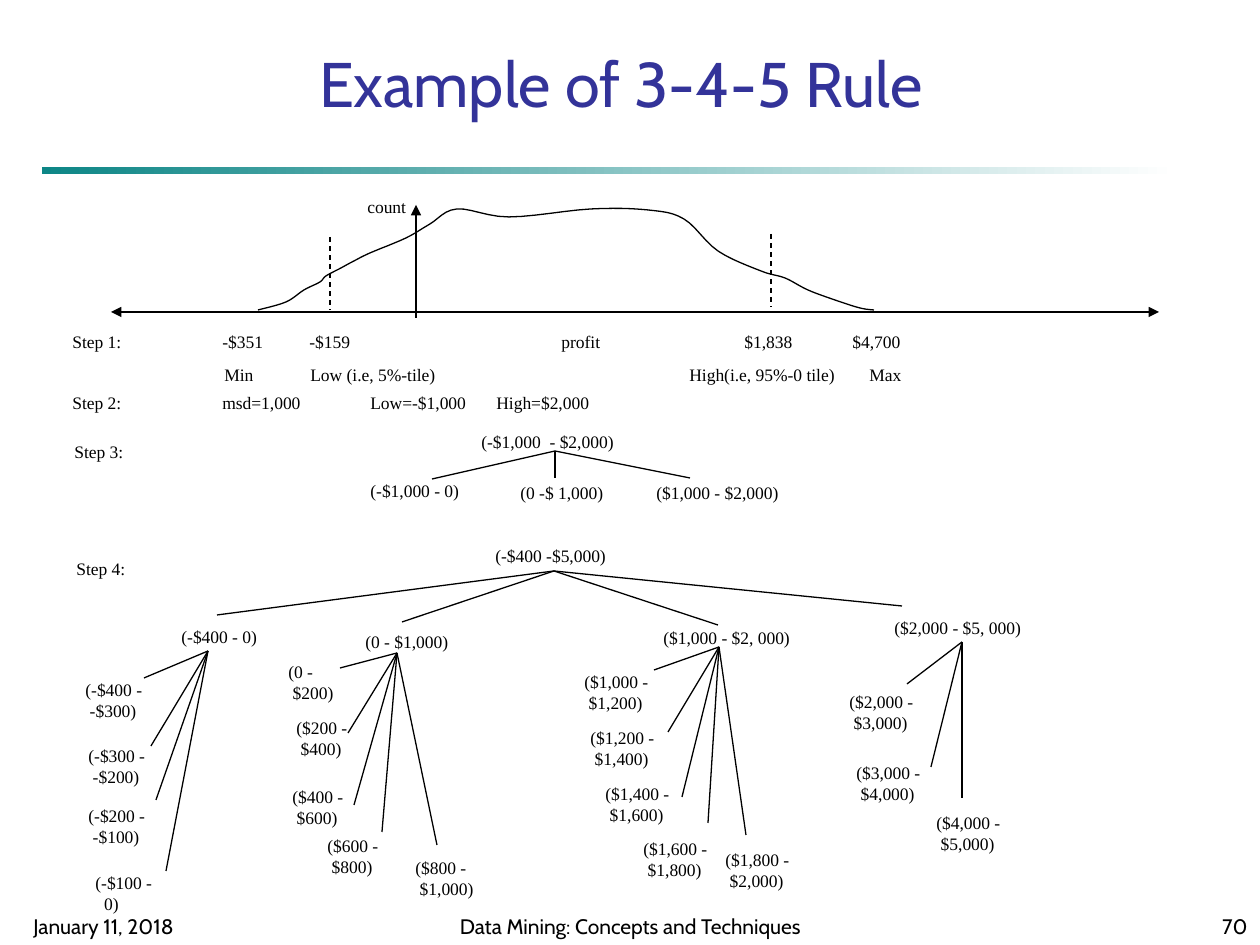
from lxml import etree
from pptx import Presentation
from pptx.dml.color import RGBColor
from pptx.enum.dml import MSO_LINE
from pptx.enum.shapes import MSO_CONNECTOR, MSO_SHAPE
from pptx.enum.text import MSO_ANCHOR, PP_ALIGN
from pptx.oxml.ns import qn
from pptx.util import Pt

STRAIGHT, RECTANGLE, DASH = MSO_CONNECTOR.STRAIGHT, MSO_SHAPE.RECTANGLE, MSO_LINE.DASH
TOP, BOTTOM = MSO_ANCHOR.TOP, MSO_ANCHOR.BOTTOM
LEFT, CENTER, RIGHT = PP_ALIGN.LEFT, PP_ALIGN.CENTER, PP_ALIGN.RIGHT

BLACK = RGBColor(0x00, 0x00, 0x00)
WHITE = RGBColor(0xFF, 0xFF, 0xFF)
NAVY = RGBColor(0x33, 0x33, 0x99)
TEAL = RGBColor(0x0D, 0x86, 0x86)
HEADING_FONT, LABEL_FONT = "Cabin", "Times New Roman"
LINE_WIDTH = Pt(0.75)
LINE_HEIGHT = 34
LEAF_HEIGHT = 54


def px(length):
    return round(length * 914400 / 126)


def add_text(slide, text, left, top, width, height=LINE_HEIGHT, size=10,
             font=LABEL_FONT, color=BLACK, align=LEFT, anchor=TOP):
    box = slide.shapes.add_textbox(px(left), px(top), px(width), px(height))
    frame = box.text_frame
    frame.word_wrap = True
    frame.vertical_anchor = anchor
    if align == LEFT:
        frame.margin_right = 0
    frame.text = text
    for paragraph in frame.paragraphs:
        paragraph.alignment = align
        run_font = paragraph.runs[0].font
        run_font.name, run_font.size = font, Pt(size)
        run_font.color.rgb = color


def add_line(slide, start, end, dashed=False, arrows=()):
    """Draw a line; arrows may hold headEnd and tailEnd, in that order."""
    line = slide.shapes.add_connector(STRAIGHT, *map(px, (*start, *end)))
    line.line.color.rgb = BLACK
    line.line.width = LINE_WIDTH
    if dashed:
        line.line.dash_style = DASH
    properties = line._element.spPr
    for arrow in arrows:
        etree.SubElement(properties.find(qn("a:ln")), qn("a:" + arrow), type="triangle")
    etree.SubElement(properties, qn("a:effectLst"))


def add_header(slide, left, top):
    add_text(slide, "Example of 3-4-5 Rule", left + 42, top, 1074, 84,
             36, HEADING_FONT, NAVY, CENTER, BOTTOM)
    bar = slide.shapes.add_shape(RECTANGLE, px(left), px(top + 125), px(1134), px(7))
    bar.shadow.inherit = False
    bar.line.fill.background()
    bar.fill.gradient()
    bar.fill.gradient_angle = 0
    for stop, color, position in zip(bar.fill.gradient_stops, (TEAL, WHITE), (0, 1)):
        stop.color.rgb = color
        stop.position = position


def add_footer(slide, left, top):
    for text, offset, width, align in (
        ("January 11, 2018", 0, 262, LEFT),
        ("Data Mining: Concepts and Techniques", 410, 399, CENTER),
        ("70", 977, 262, RIGHT),
    ):
        add_text(slide, text, left + offset, top, width, 53, 12,
                 HEADING_FONT, BLACK, align, BOTTOM)


def smooth_curve(points, steps=6):
    """Catmull-Rom spline through the points."""
    padded = [points[0], *points, points[-1]]
    curve = [points[0]]
    for a, b, c, d in zip(padded, padded[1:], padded[2:], padded[3:]):
        for step in range(1, steps + 1):
            t = step / steps
            curve.append(tuple(
                q + t * (r - p + t * (2 * p - 5 * q + 4 * r - s
                                      + t * (3 * q - p - 3 * r + s))) / 2
                for p, q, r, s in zip(a, b, c, d)))
    return curve


def add_distribution(slide, left, top):
    # Profit curve
    knots = [(0, 101), (28, 93), (46, 81), (62, 73), (68, 67), (83, 59), (96, 52),
             (112, 44), (148, 29), (172, 15), (199, 0), (251, 8), (333, 0), (390, 1),
             (426, 10), (460, 42), (503, 62), (527, 69), (550, 81), (577, 91),
             (602, 99), (616, 101)]
    points = [(px(left + 147 + x), px(top + 4 + y)) for x, y in smooth_curve(knots)]
    builder = slide.shapes.build_freeform(*points[0])
    builder.add_line_segments(points[1:], close=False)
    curve = builder.convert_to_shape()
    curve.shadow.inherit = False
    curve.fill.background()
    curve.line.color.rgb = BLACK
    curve.line.width = LINE_WIDTH
    # Axes and percentile marks
    add_line(slide, (left, top + 107), (left + 1048, top + 107),
             arrows=("headEnd", "tailEnd"))
    add_line(slide, (left + 305, top + 113), (left + 305, top), arrows=("tailEnd",))
    for x, y in ((219, 32), (660, 29)):
        add_line(slide, (left + x, top + y), (left + x, top + y + 73), dashed=True)
    add_text(slide, "count", left + 244, top - 15, 64)


def add_steps(slide, left, top):
    for y, labels in (
        (0, (("Step 1:", 0), ("-$351", 150), ("-$159", 237), ("profit", 489),
             ("$1,838", 672), ("$4,700", 780))),
        (33, (("Min", 152), ("Low (i.e, 5%-tile)", 238),
              ("High(i.e, 95%-0 tile)", 617), ("Max", 797))),
        (61, (("Step 2:", 0), ("msd=1,000", 150), ("Low=-$1,000", 298),
              ("High=$2,000", 424))),
        (110, (("Step 3:", 2),)),
        (227, (("Step 4:", 4),)),
    ):
        for text, x in labels:
            add_text(slide, text, left + x, top + y, 30 + 9 * len(text))


def add_tree(slide, left, top, root, width, apex, tips, leaves=()):
    """Root label at left, top; the lines and leaves are offset from there."""
    add_text(slide, root, left, top, width + 5)
    for x, y in tips:
        add_line(slide, (left + apex[0], top + apex[1]), (left + x, top + y))
    for text, x, y in leaves:
        height = LEAF_HEIGHT if "\n" in text else LINE_HEIGHT
        add_text(slide, text, left + x, top + y, 30 + 8 * max(map(len, text.split("\n"))),
                 height)


def add_step_3(slide, left, top):
    add_tree(slide, left, top, "(-$1,000  - $2,000)", 159, (86, 26),
             [(-37, 54), (86, 53), (221, 53)],
             [("(-$1,000 - 0)", -111, 49), ("(0 -$ 1,000)", 39, 51),
              ("($1,000 - $2,000)", 175, 51)])


def add_step_4(slide, left, top):
    add_tree(slide, left, top, "(-$400 -$5,000)", 136, (71, 32),
             [(-266, 76), (-81, 83), (235, 86), (419, 67)])
    add_tree(slide, left - 314, top + 81, "(-$400 - 0)", 102, (39, 31),
             [(-25, 58), (-18, 126), (-13, 180), (-3, 251)],
             [("(-$400 -\n -$300)", -96, 53), ("(-$300 -\n -$200)", -93, 119),
              ("(-$200 -\n -$100)", -93, 179), ("(-$100 -\n  0)", -86, 246)])
    add_tree(slide, left - 130, top + 86, "(0 - $1,000)", 108, (44, 28),
             [(-13, 43), (-5, 108), (1, 180), (29, 207), (84, 220)],
             [("(0 -\n $200)", -77, 30), ("($200 -\n $400)", -69, 86),
              ("($400 -\n $600)", -73, 155), ("($600 -\n $800)", -38, 204),
              ("($800 -\n $1,000)", 50, 226)])
    add_tree(slide, left + 168, top + 82, "($1,000 - $2, 000)", 152, (68, 26),
             [(3, 49), (17, 111), (31, 176), (57, 202), (95, 214)],
             [("($1,000 -\n $1,200)", -79, 44), ("($1,200 -\n $1,400)", -73, 100),
              ("($1,400 -\n $1,600)", -58, 156), ("($1,600 -\n $1,800)", -20, 211),
              ("($1,800 -\n $2,000)", 62, 222)])
    add_tree(slide, left + 399, top + 72, "($2,000 - $5, 000)", 152, (80, 31),
             [(25, 73), (49, 156), (80, 187)],
             [("($2,000 -\n $3,000)", -45, 74), ("($3,000 -\n $4,000)", -38, 145),
              ("($4,000 -\n $5,000)", 42, 195)])


def main():
    presentation = Presentation()
    presentation.slide_width, presentation.slide_height = px(1260), px(945)
    slide = presentation.slides.add_slide(presentation.slide_layouts[6])
    add_header(slide, 42, 42)
    add_footer(slide, 21, 892)
    add_distribution(slide, 111, 205)
    add_steps(slide, 60, 325)
    add_step_3(slide, 469, 425)
    add_step_4(slide, 483, 539)
    presentation.save("out.pptx")


if __name__ == "__main__":
    main()
